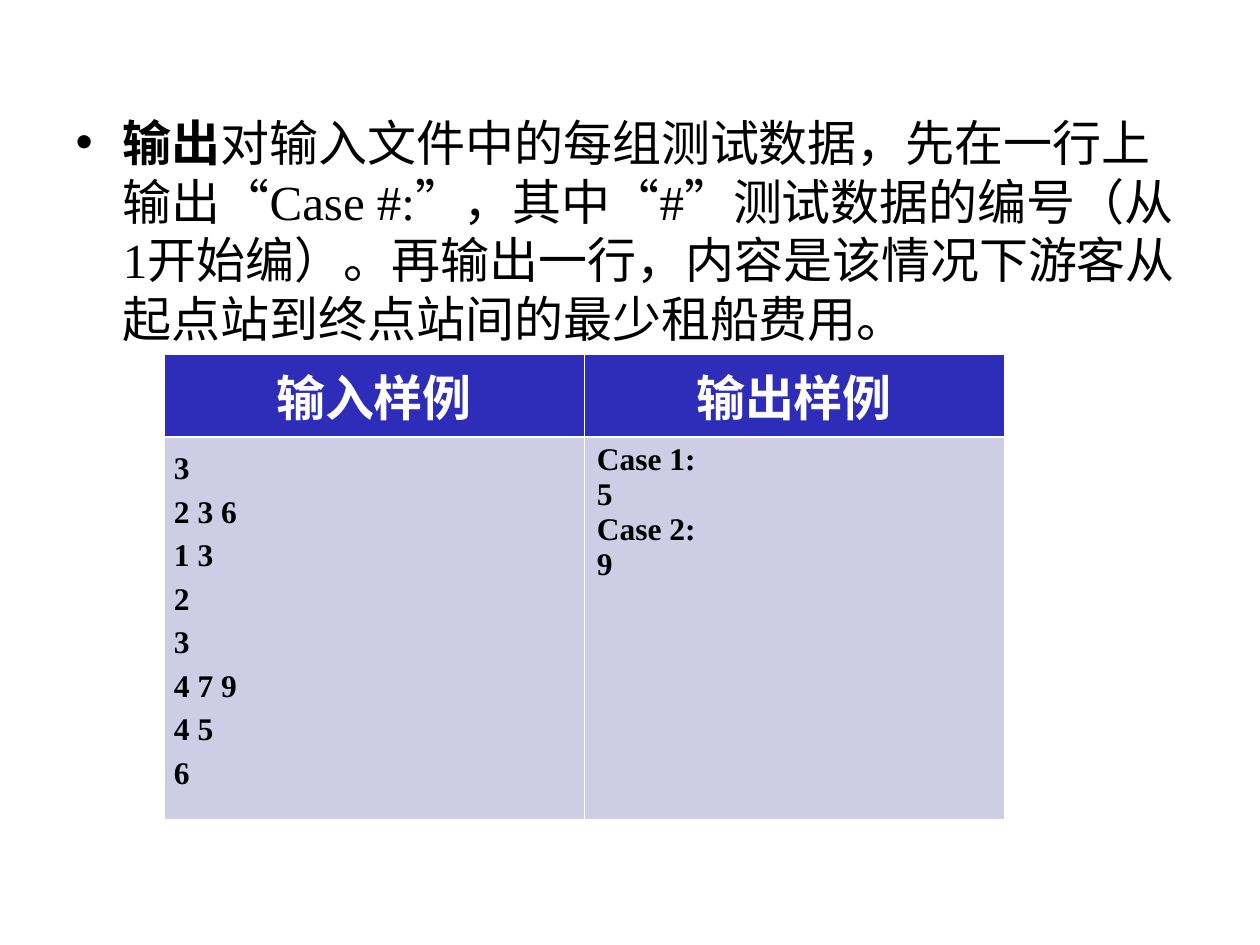
"""Build a slide on the output rules with a table of sample data."""
from dataclasses import dataclass

import pptx
import pptx.dml.color
import pptx.enum.text
import pptx.oxml
import pptx.oxml.ns
import pptx.table
import pptx.text.text
import pptx.util

RGB = pptx.dml.color.RGBColor
ALIGN = pptx.enum.text.PP_ALIGN
BLACK = RGB(0x00, 0x00, 0x00)
WHITE = RGB(0xFF, 0xFF, 0xFF)
BLUE = RGB(0x2D, 0x2D, 0xB9)
PALE = RGB(0xCD, 0xCD, 0xE6)
FACE = "Times New Roman"
SCALE = 914400 / 126
THIN, THICK = 0.45, 1.47

LEAD = "输出"
RULE = (
    "对输入文件中的每组测试数据，先在一行上输出“Case #:”，其中“#”测试数据的编号"
    "（从1开始编）。再输出一行，内容是该情况下游客从起点站到终点站间的最少租船费用。"
)


@dataclass
class Look:
    size: int
    ink: RGB
    fill: RGB
    align: ALIGN
    top: float
    base: float


@dataclass
class Sample:
    head: str
    lines: list[str]
    space: float
    inset: int


HEAD = Look(28, WHITE, BLUE, ALIGN.CENTER, THIN, THICK)
DATA = Look(18, BLACK, PALE, ALIGN.LEFT, THICK, THIN)
SAMPLES = [
    Sample("输入样例", ["3", "2 3 6", "1 3", "2", "3", "4 7 9", "4 5", "6"], 1.25, 10),
    Sample("输出样例", ["Case 1:", "5", "Case 2:", "9"], 1.0, 13),
]


def px(count: int) -> int:
    """Turn px into EMU."""
    return round(count * SCALE)


def style(run: pptx.text.text._Run, size: int, ink: RGB, bold: bool) -> None:
    """Set the font of a run."""
    run.font.name = FACE
    run.font.size = pptx.util.Pt(size)
    run.font.bold = bold
    run.font.color.rgb = ink


def edge(cell: pptx.table._Cell, look: Look) -> None:
    """Draw the four white borders of a cell."""
    props = cell._tc.get_or_add_tcPr()
    sides = [("lnL", THIN), ("lnR", THIN), ("lnT", look.top), ("lnB", look.base)]
    for place, (side, width) in enumerate(sides):
        line = pptx.oxml.parse_xml(
            f'<a:{side} {pptx.oxml.ns.nsdecls("a")} w="{pptx.util.Pt(width)}">'
            f'<a:solidFill><a:srgbClr val="{WHITE}"/></a:solidFill></a:{side}>'
        )
        props.insert(place, line)


def write(cell: pptx.table._Cell, lines: list[str], look: Look,
          space: float = 1.0, inset: int = 13) -> None:
    """Fill a cell with text, one paragraph a line."""
    cell.margin_left = cell.margin_right = px(inset)
    cell.margin_top = cell.margin_bottom = px(6)
    cell.fill.solid()
    cell.fill.fore_color.rgb = look.fill
    edge(cell, look)
    cell.text_frame.text = "\n".join(lines)
    for para in cell.text_frame.paragraphs:
        para.alignment = look.align
        para.line_spacing = space
        for run in para.runs:
            style(run, look.size, look.ink, True)


def main() -> None:
    """Make the slide and save it."""
    deck = pptx.Presentation()
    deck.slide_width, deck.slide_height = px(1260), px(945)
    slide = deck.slides.add_slide(deck.slide_layouts[1])
    title = slide.shapes.title
    title.element.getparent().remove(title.element)

    body = slide.placeholders[1]
    body.left, body.top, body.width, body.height = map(px, (63, 106, 1134, 738))
    frame = body.text_frame
    frame.auto_size = pptx.enum.text.MSO_AUTO_SIZE.NONE
    para = frame.paragraphs[0]
    para.space_before = pptx.util.Pt(0)
    for text, bold in ((LEAD, True), (RULE, False)):
        run = para.add_run()
        run.text = text
        style(run, 28, BLACK, bold)

    box = map(px, (164, 354, 840, 462))
    table = slide.shapes.add_table(2, len(SAMPLES), *box).table
    for row, height in zip(table.rows, (79, 383)):
        row.height = px(height)
    for col, item in enumerate(SAMPLES):
        write(table.cell(0, col), [item.head], HEAD)
        write(table.cell(1, col), item.lines, DATA, item.space, item.inset)

    deck.save("out.pptx")


if __name__ == "__main__":
    main()
